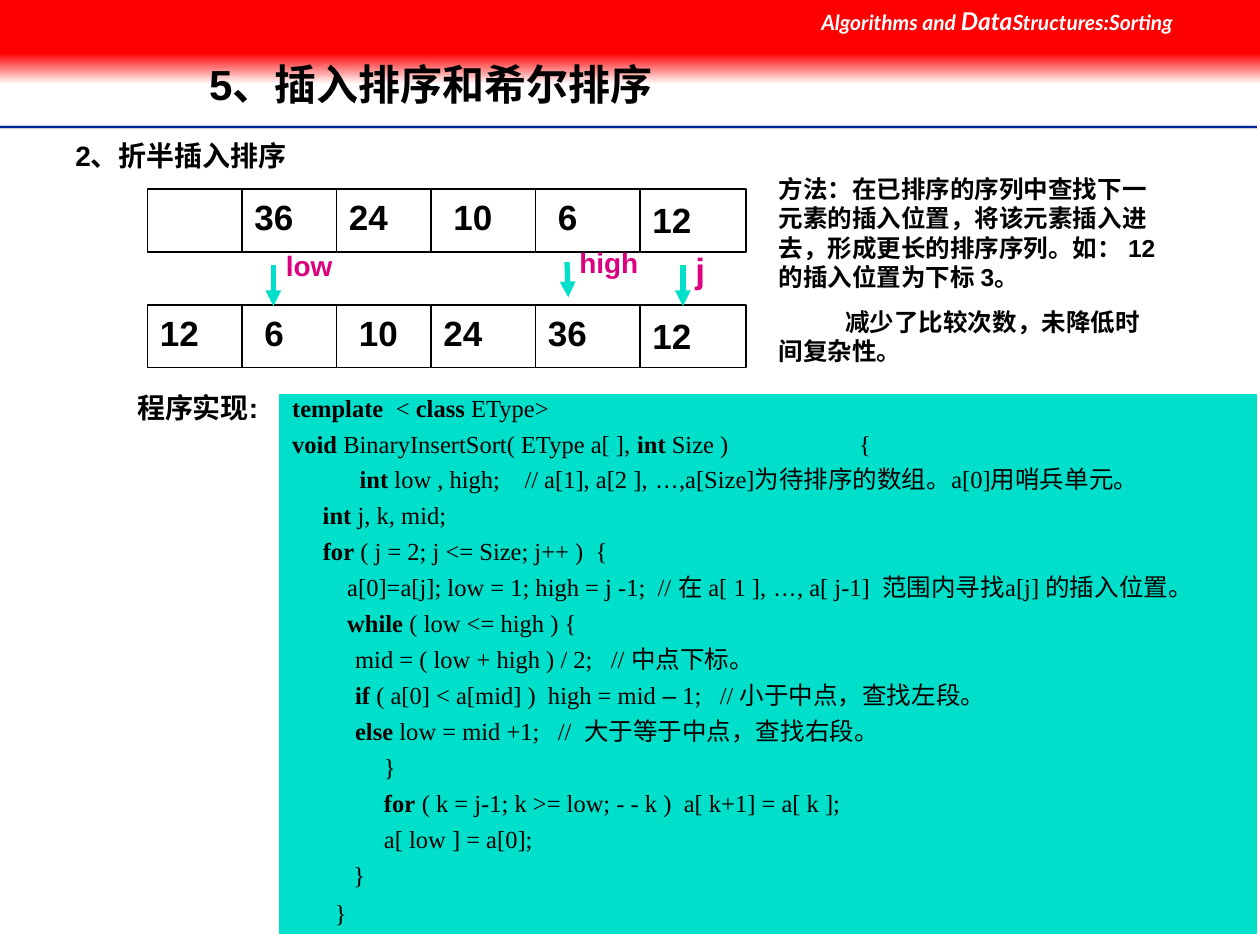
from itertools import groupby
from typing import NamedTuple

import pptx
import pptx.dml.color
import pptx.enum.shapes
import pptx.enum.text
import pptx.oxml.ns
import pptx.util
from lxml import etree

Inches, Pt = pptx.util.Inches, pptx.util.Pt
RECT = pptx.enum.shapes.MSO_SHAPE.RECTANGLE
ALIGN = pptx.enum.text.PP_ALIGN
ANCHOR = pptx.enum.text.MSO_ANCHOR
qn = pptx.oxml.ns.qn

CJK_FONT = "Noto Sans CJK SC"
BLACK, WHITE, RED, TEAL, PINK = "000000", "FFFFFF", "FF0000", "00DFCA", "DC0081"


class Cell(NamedTuple):
    text: str
    dx: float = 0
    dy: float = 0


class ArrayRow(NamedTuple):
    top: float
    cells: list[Cell]


class Marker(NamedTuple):
    text: str
    size: int
    start: tuple[float, float]
    end: tuple[float, float]
    label_top: float
    label_size: tuple[float, float]


class Rule(NamedTuple):
    y: float
    color: str
    width: float


RULES = [Rule(1.01, "CECECE", 2), Rule(1.01, "00279F", 1), Rule(1.03, WHITE, 1)]
CELL_EDGES = [1.17, 1.92, 2.67, 3.42, 4.25, 5.08, 5.92]
ROW_HEIGHT = 0.5
ROWS = [
    ArrayRow(1.5, [Cell(""), Cell("36"), Cell("24"), Cell("10", 0.08),
                   Cell("6", 0.08), Cell("12", 0, 0.03)]),
    ArrayRow(2.42, [Cell("12"), Cell("6", 0.08), Cell("10", 0.08), Cell("24"),
                    Cell("36"), Cell("12", 0, 0.03)]),
]
MARKERS = [
    Marker("low", 16, (2.17, 2.1), (2.17, 2.43), 1.92, (0.75, 0.37)),
    Marker("high", 16, (4.5, 2.08), (4.51, 2.36), 1.9, (0.75, 0.37)),
    Marker("j", 20, (5.42, 2.1), (5.42, 2.43), 1.92, (0.33, 0.44)),
]
METHOD = [
    "方法：在已排序的序列中查找下一元素的插入位置，将该元素插入进去，"
    "形成更长的排序序列。如： 12 的插入位置为下标 3。",
    "减少了比较次数，未降低时间复杂性。",
]
# Asterisks enclose the bold parts of the listing.
CODE = """\
*template  *< *class* EType>
*void *BinaryInsertSort( EType a[ ], *int* Size ) \t\t{
           *int* low , high;    // a[1], a[2 ], …,a[Size]为待排序的数组。a[0]用哨兵单元。
*     int *j, k, mid;
     *for* ( j = 2; j <= Size; j++ )  {
         a[0]=a[j]; low = 1; high = j -1;  // 在 a[ 1 ], …, a[ j-1]  范围内寻找a[j] 的插入位置。
*         while* ( low <= high ) {
     \tmid = ( low + high ) / 2;   // 中点下标。
*    \tif *( a[0] < a[mid] )  high = mid – 1;   // 小于中点，查找左段。
*     \telse* low = mid +1;   //  大于等于中点，查找右段。
               }
*               for* ( k = j-1; k >= low; - - k )  a[ k+1] = a[ k ];
               a[ low ] = a[0];
          }
       }""".split("\n")


def rgb(color: str):
    return pptx.dml.color.RGBColor.from_string(color)


def set_font(p, size: float, color: str = BLACK, name: str = "Arial", bold: bool = True) -> None:
    f = p.font
    f.size, f.name, f.bold = Pt(size), name, bold
    f.color.rgb = rgb(color)
    etree.SubElement(f._element, qn("a:ea")).set("typeface", CJK_FONT)


def set_indent(p, left: float, first: float) -> None:
    pPr = p._p.get_or_add_pPr()
    pPr.set("marL", str(Inches(left)))
    pPr.set("indent", str(Inches(first)))


def add_rect(s, left: float, top: float, width: float, height: float,
             fill: str, line: str | None = None):
    sp = s.shapes.add_shape(RECT, Inches(left), Inches(top), Inches(width), Inches(height))
    sp.shadow.inherit = False
    sp.fill.solid()
    sp.fill.fore_color.rgb = rgb(fill)
    if line:
        sp.line.color.rgb = rgb(line)
        sp.line.width = Pt(0.75)
    else:
        sp.line.fill.background()
    return sp


def add_line(s, start: tuple[float, float], end: tuple[float, float],
             color: str, width: float, arrow: bool = False) -> None:
    c = s.shapes.add_connector(pptx.enum.shapes.MSO_CONNECTOR.STRAIGHT,
                               *map(Inches, (*start, *end)))
    c.line.color.rgb = rgb(color)
    c.line.width = Pt(width)
    if arrow:
        etree.SubElement(c.line._ln, qn("a:tailEnd")).set("type", "triangle")
    etree.SubElement(c._element.spPr, qn("a:effectLst"))


def add_text(s, left: float, top: float, width: float, height: float,
             text: str, size: float, color: str = BLACK):
    """Add a one-paragraph bold text box and return its text frame."""
    tf = s.shapes.add_textbox(Inches(left), Inches(top), Inches(width), Inches(height)).text_frame
    tf.word_wrap = True
    p = tf.paragraphs[0]
    p.text = text
    set_font(p, size, color)
    return tf


def add_header(s) -> None:
    for rule in RULES:
        add_line(s, (0, rule.y), (9.98, rule.y), rule.color, rule.width)
    fade = add_rect(s, 0, 0.42, 10, 0.25, RED)
    fade.fill.gradient()
    fade.fill.gradient_angle = 270
    for stop, color in zip(fade.fill.gradient_stops, (RED, WHITE)):
        stop.color.rgb = rgb(color)
    add_rect(s, 0, 0, 10, 0.42, RED)
    p = add_text(s, 6.42, 0, 3.58, 0.34, "", 12, WHITE).paragraphs[0]
    p.font.name, p.font.italic = "Lato", True
    for text, size in (("Algorithms and ", 12), ("Data", 14), ("Structures:Sorting", 12)):
        r = p.add_run()
        r.text, r.font.size = text, Pt(size)


def add_title(s, text: str) -> None:
    title = s.shapes.title
    title.element.getparent().append(title.element)  # in front of the header band
    title.left, title.top, title.width, title.height = map(Inches, (1.56, 0.32, 7.55, 0.74))
    tf = title.text_frame
    tf.text = text
    tf.vertical_anchor = ANCHOR.MIDDLE
    p = tf.paragraphs[0]
    p.alignment, p.line_spacing = ALIGN.LEFT, 0.9
    set_font(p, 24)


def add_array(s, row: ArrayRow) -> None:
    left, right = CELL_EDGES[0], CELL_EDGES[-1]
    add_rect(s, left, row.top, right - left, ROW_HEIGHT, WHITE, BLACK)
    for x in CELL_EDGES[1:-1]:
        add_line(s, (x, row.top), (x, row.top + ROW_HEIGHT), BLACK, 0.75)
    for x, cell in zip(CELL_EDGES, row.cells):
        if cell.text:
            add_text(s, x + cell.dx, row.top + cell.dy, 0.67, 0.44, cell.text, 20)


def code_font(ch: str) -> str:
    if ch in "…–":
        return "Arial"
    return CJK_FONT if ord(ch) > 0x2E80 else "Times New Roman"


def add_code(s) -> None:
    tf = add_rect(s, 2.22, 3.13, 7.75, 4.28, TEAL, TEAL).text_frame
    tf.word_wrap, tf.vertical_anchor = True, ANCHOR.TOP
    for i, line in enumerate(CODE):
        p = tf.add_paragraph() if i else tf.paragraphs[0]
        p.alignment = ALIGN.JUSTIFY
        p.line_spacing = 0.8 if i == len(CODE) - 1 else 0.7
        p.space_before = Pt(8.8 if i else 0)
        set_font(p, 14, name="Times New Roman", bold=False)
        for j, part in enumerate(line.split("*")):
            for name, chars in groupby(part, code_font):
                r = p.add_run()
                r.text = "".join(chars)
                r.font.name, r.font.bold = name, j % 2 == 1


def main() -> None:
    prs = pptx.Presentation()
    prs.slide_width, prs.slide_height = Inches(10), Inches(7.5)
    s = prs.slides.add_slide(prs.slide_layouts[5])

    add_header(s)
    add_title(s, "5、插入排序和希尔排序")
    set_indent(add_text(s, 0, 1.05, 2.75, 0.37, "2、折半插入排序", 16).paragraphs[0], 0.5, 0)
    add_code(s)
    p = add_text(s, 0, 3.08, 9.75, 0.34, "程序实现:", 16).paragraphs[0]
    p.line_spacing = 0.9
    set_indent(p, 0.93, 0.06)

    for row in ROWS:
        add_array(s, row)
    for m in MARKERS:
        add_line(s, m.start, m.end, TEAL, 3, arrow=True)
        add_text(s, m.start[0], m.label_top, *m.label_size, m.text, m.size, PINK)

    p = add_text(s, 6.08, 1.33, 3.25, 1.63, METHOD[0], 14).add_paragraph()
    p.text = METHOD[1]
    p.space_before = Pt(8.8)
    set_indent(p, 0, 0.53)
    set_font(p, 14)
    prs.save("out.pptx")


if __name__ == "__main__":
    main()
